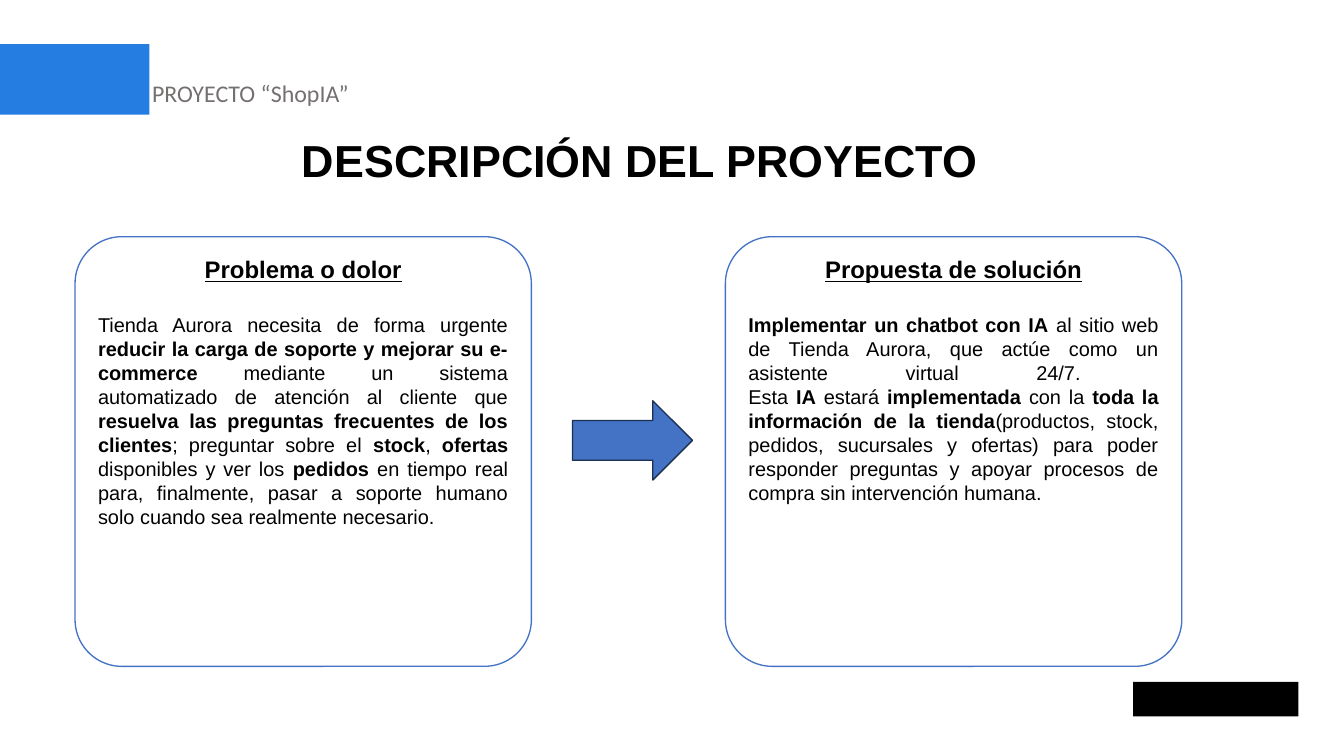
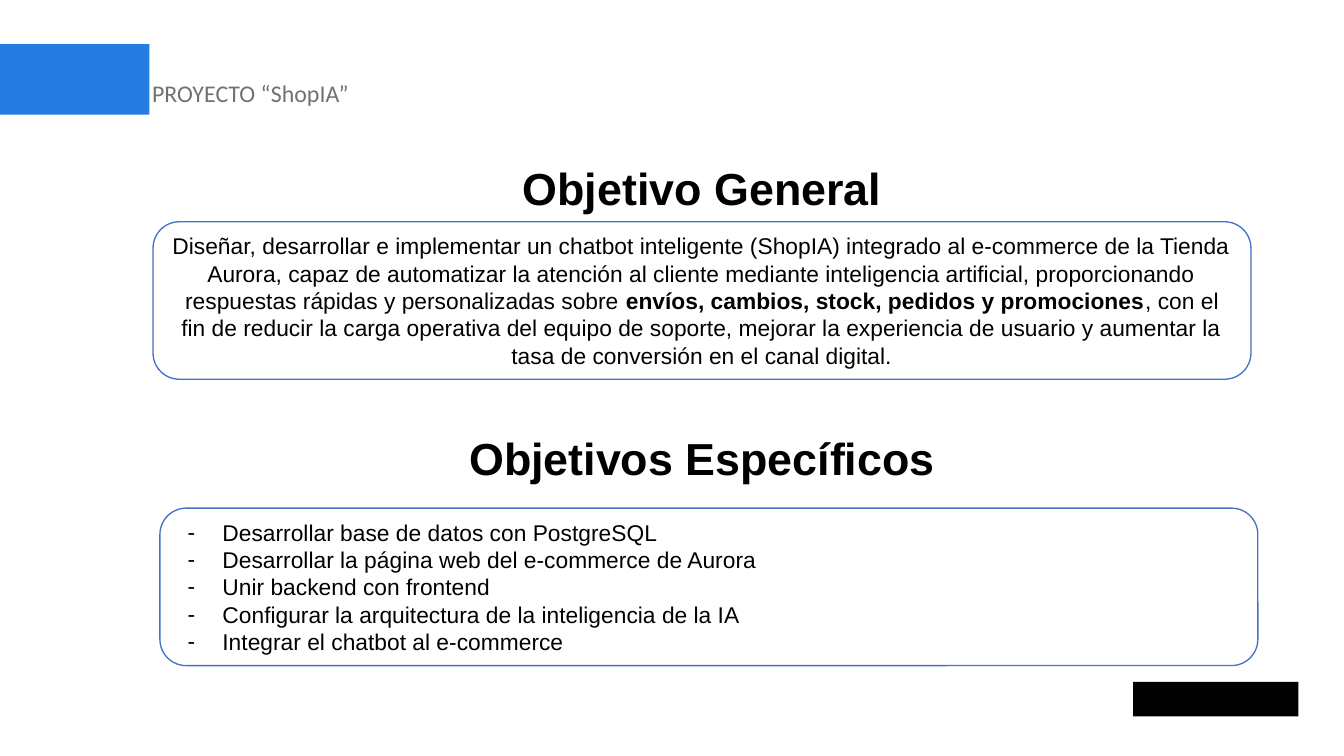
from lxml.etree import SubElement
from pptx import Presentation
from pptx.dml.color import RGBColor
from pptx.enum.shapes import MSO_SHAPE as Shape
from pptx.enum.text import MSO_ANCHOR as Anchor, MSO_AUTO_SIZE as AutoSize, PP_ALIGN as Align
from pptx.oxml.ns import qn
from pptx.util import Pt

BLACK = RGBColor(0x00, 0x00, 0x00)
WHITE = RGBColor(0xFF, 0xFF, 0xFF)
GRAY = RGBColor(0x75, 0x70, 0x70)
BAND_BLUE = RGBColor(0x25, 0x7C, 0xE1)
PANEL_BLUE = RGBColor(0x44, 0x72, 0xC4)
ARROW_EDGE = RGBColor(0x1C, 0x30, 0x52)

LINE_WIDTH = 0.7
CARD_TOP, CARD_WIDTH, CARD_HEIGHT = 126.8, 244.5, 230.2
GOAL_WIDTH, GOAL_HEIGHT, GOAL_CORNER, GOAL_SIZE = 588.2, 84.4, 0.167, 12.2
CORNER_INSET = 4

PROBLEM = (
    "Tienda Aurora necesita de forma urgente **reducir la carga de soporte y mejorar su "
    "e-commerce** mediante un sistema automatizado de atención al cliente que **resuelva las "
    "preguntas frecuentes de los clientes**; preguntar sobre el **stock**, **ofertas **"
    "disponibles y ver los **pedidos **en tiempo real para, finalmente, pasar a soporte humano "
    "solo cuando sea realmente necesario."
)
SOLUTION = (
    "**Implementar un chatbot con IA** al sitio web de Tienda Aurora, que actúe como un "
    "asistente virtual 24/7. \nEsta **IA** estará **implementada **con la **toda la información "
    "de la tienda**(productos, stock, pedidos, sucursales y ofertas) para poder responder "
    "preguntas y apoyar procesos de compra sin intervención humana."
)
GENERAL_GOAL = (
    "Diseñar, desarrollar e implementar un chatbot inteligente (ShopIA) integrado al e-commerce "
    "de la Tienda Aurora, capaz de automatizar la atención al cliente mediante inteligencia "
    "artificial, proporcionando respuestas rápidas y personalizadas sobre **envíos, cambios, "
    "stock, pedidos y promociones**, con el fin de reducir la carga operativa del equipo de "
    "soporte, mejorar la experiencia de usuario y aumentar la tasa de conversión en el canal "
    "digital."
)
SPECIFIC_GOALS = [
    "Desarrollar base de datos con PostgreSQL",
    "Desarrollar la página web del e-commerce de Aurora",
    "Unir backend con frontend",
    "Configurar la arquitectura de la inteligencia de la IA",
    "Integrar el chatbot al e-commerce",
]


def place(shape, left, top, width, height):
    shape.left, shape.top = Pt(left), Pt(top)
    shape.width, shape.height = Pt(width), Pt(height)


def set_frame(shape, anchor=Anchor.TOP, vertical_inset=2.5):
    frame = shape.text_frame
    frame.word_wrap = True
    frame.auto_size = AutoSize.NONE
    frame.vertical_anchor = anchor
    frame.margin_left = frame.margin_right = Pt(5)
    frame.margin_top = frame.margin_bottom = Pt(vertical_inset)
    return frame


def style(paragraph, size, align=Align.LEFT, color=BLACK, font="Arial", bold=None):
    paragraph.alignment = align
    paragraph.font.name = font
    paragraph.font.size = Pt(size)
    paragraph.font.color.rgb = color
    paragraph.font.bold = bold


def add_marked_text(paragraph, text):
    for index, part in enumerate(text.split("**")):
        for row, line in enumerate(part.split("\n")):
            if row:
                paragraph.add_line_break()
            if line:
                run = paragraph.add_run()
                run.text = line
                if index % 2:
                    run.font.bold = True


def add_figure(slide, kind, bounds, fill, edge=None):
    figure = slide.shapes.add_shape(kind, *map(Pt, bounds))
    figure.shadow.inherit = False
    figure.fill.solid()
    figure.fill.fore_color.rgb = fill
    if edge is None:
        figure.line.fill.background()
    else:
        figure.line.color.rgb = edge
        figure.line.width = Pt(LINE_WIDTH)
    return figure


def add_panel(slide, bounds, corner):
    panel = add_figure(slide, Shape.ROUNDED_RECTANGLE, bounds, WHITE, PANEL_BLUE)
    panel.adjustments[0] = corner
    return panel


def write_heading(holder, text, bounds):
    place(holder, *bounds)
    paragraph = set_frame(holder).paragraphs[0]
    paragraph.text = text
    style(paragraph, 24, Align.CENTER, bold=True)


def add_branding(slide):
    add_figure(slide, Shape.RECTANGLE, (0, 23.7, 80.1, 37.8), BAND_BLUE)
    add_figure(slide, Shape.RECTANGLE, (607, 365.3, 88.6, 18.5), BLACK)
    label = slide.shapes.add_textbox(Pt(76.5), Pt(39.6), Pt(333.4), Pt(20.9))
    paragraph = set_frame(label).paragraphs[0]
    paragraph.text = "PROYECTO “ShopIA”"
    style(paragraph, 12.8, color=GRAY, font="Calibri")


def add_card(slide, left, heading, text):
    card = add_panel(slide, (left, CARD_TOP, CARD_WIDTH, CARD_HEIGHT), 0.109)
    frame = set_frame(card)
    heading_line = frame.paragraphs[0]
    heading_line.text = heading
    style(heading_line, 12.8, Align.CENTER, bold=True)
    heading_line.font.underline = True
    body = frame.add_paragraph()
    add_marked_text(body, text)
    style(body, 10.7, Align.JUSTIFY)
    body.space_before = Pt(15.6)


def add_dash(paragraph):
    props = paragraph._p.get_or_add_pPr()
    props.set("marL", str(Pt(24.5)))
    props.set("indent", str(-Pt(18.7)))
    color = SubElement(props, qn("a:buClr"))
    SubElement(color, qn("a:srgbClr")).set("val", str(BLACK))
    SubElement(props, qn("a:buFont")).set("typeface", "Arial")
    SubElement(props, qn("a:buChar")).set("char", "-")


def add_goal_list(slide, left, top):
    panel = add_panel(slide, (left, top, GOAL_WIDTH, GOAL_HEIGHT), GOAL_CORNER)
    goals = slide.placeholders[1]
    place(goals, left + CORNER_INSET, top + CORNER_INSET,
          GOAL_WIDTH - 2 * CORNER_INSET, GOAL_HEIGHT - 2 * CORNER_INSET)
    panel._element.addnext(goals._element)
    frame = set_frame(goals, Anchor.MIDDLE)
    frame.text = "\n".join(SPECIFIC_GOALS)
    for paragraph in frame.paragraphs:
        add_dash(paragraph)
        style(paragraph, GOAL_SIZE)
        paragraph.space_before = Pt(0)


def build_description(deck):
    slide = deck.slides.add_slide(deck.slide_layouts[5])
    add_branding(slide)
    write_heading(slide.shapes.title, "DESCRIPCIÓN DEL PROYECTO", (0, 68.4, 685.4, 34.6))
    add_card(slide, 40.2, "Problema o dolor", PROBLEM)
    add_card(slide, 388.6, "Propuesta de solución", SOLUTION)
    add_figure(slide, Shape.RIGHT_ARROW, (306.7, 214.7, 64.3, 42.5), PANEL_BLUE, ARROW_EDGE)


def build_goals(deck):
    slide = deck.slides.add_slide(deck.slide_layouts[1])
    add_branding(slide)
    write_heading(slide.shapes.title, "Objetivo General", (48.8, 83.5, 654.5, 33.8))
    specific_heading = slide.shapes.add_textbox(0, 0, 0, 0)
    write_heading(specific_heading, "Objetivos Específicos", (48.8, 228.2, 654.5, 33.8))
    general = add_panel(slide, (82, 118.8, GOAL_WIDTH, GOAL_HEIGHT), GOAL_CORNER)
    paragraph = set_frame(general, Anchor.MIDDLE).paragraphs[0]
    add_marked_text(paragraph, GENERAL_GOAL)
    style(paragraph, GOAL_SIZE, Align.CENTER)
    add_goal_list(slide, 85.7, 272.2)


def main():
    deck = Presentation()
    deck.slide_width, deck.slide_height = Pt(720), Pt(405)
    build_description(deck)
    build_goals(deck)
    deck.save("out.pptx")


if __name__ == "__main__":
    main()
